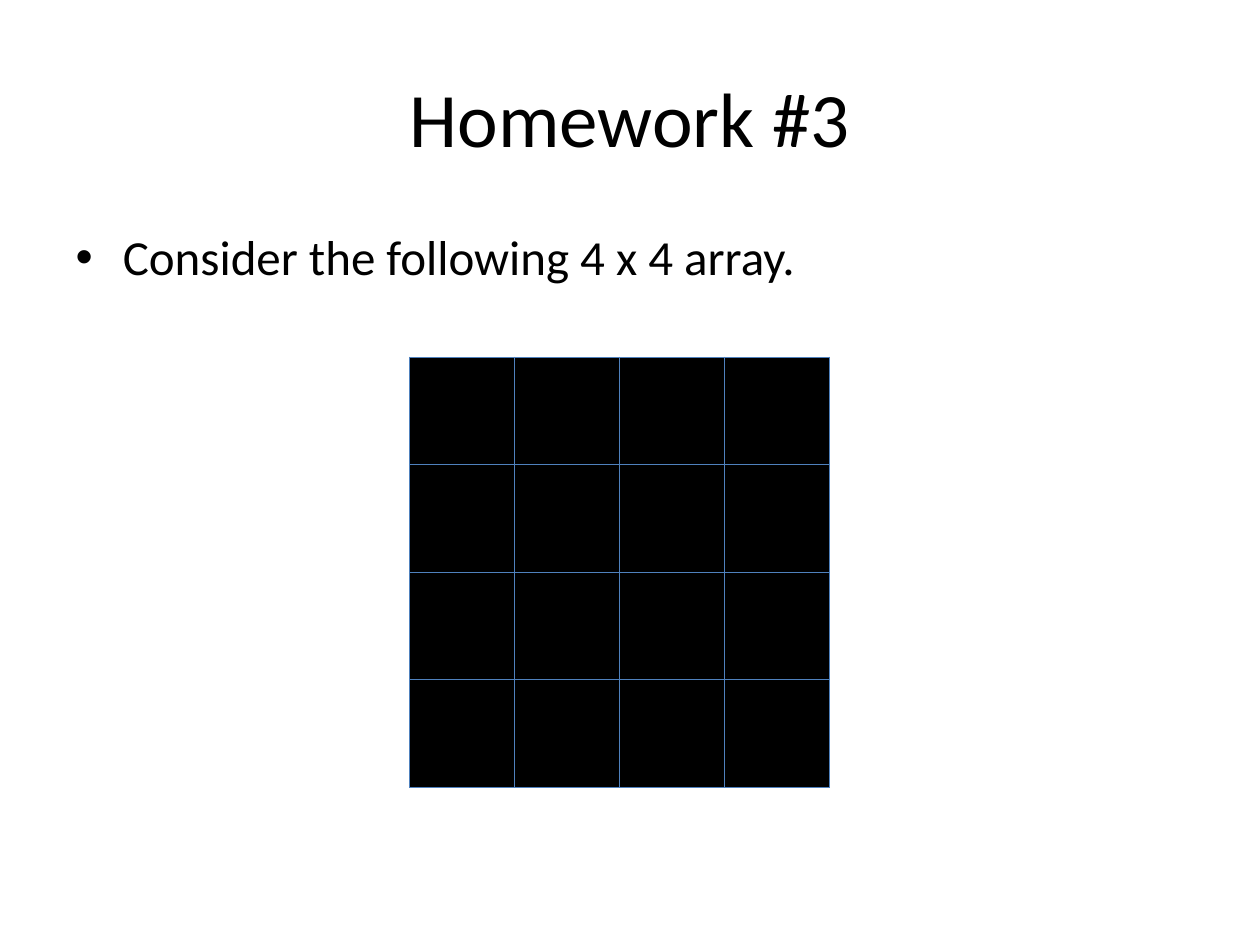
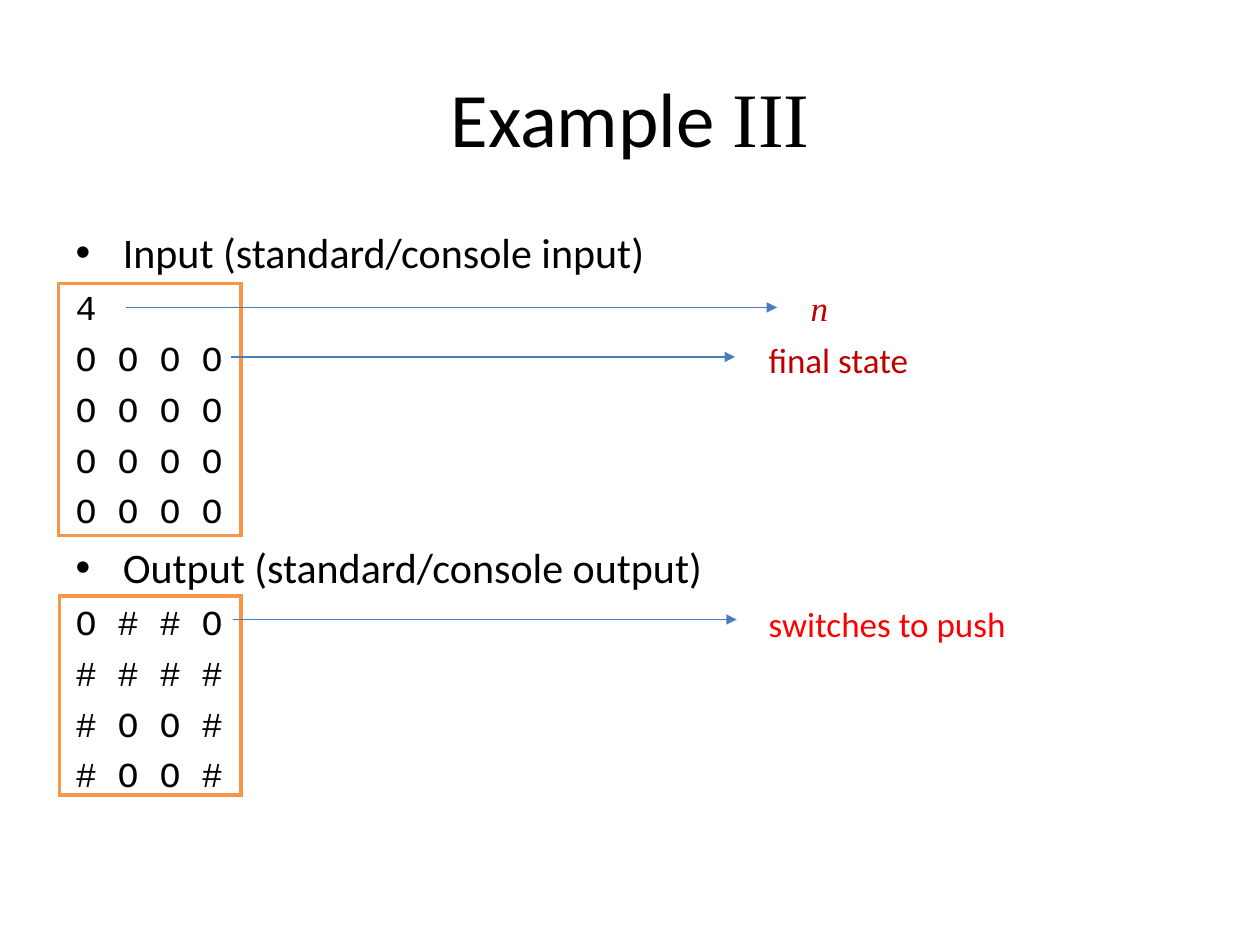
from lxml.etree import SubElement
from pptx import Presentation
from pptx.dml.color import RGBColor
from pptx.enum.shapes import MSO_CONNECTOR, MSO_SHAPE
from pptx.enum.text import MSO_ANCHOR, MSO_AUTO_SIZE, PP_ALIGN
from pptx.oxml.ns import qn
from pptx.util import Pt

COLORS = {
    "text": "000000", "cell": "000000", "grid": "4F81BD", "arrow": "4A7EBB",
    "frame": "F79646", "input_note": "C00000", "output_note": "FF0000",
}
SANS, MONO, SERIF = "Calibri", "Courier New", "Times New Roman"
TITLE_BOX = (36, 21.6, 648, 90)
BODY_BOX = (36, 126, 648, 356.4)
NOTE_WIDTH, NOTE_HEIGHT = 180, 28


def color(name):
    return RGBColor.from_string(COLORS[name])


def place(shape, box):
    shape.left, shape.top, shape.width, shape.height = map(Pt, box)


def style(run, size, font=SANS, tint="text", italic=False):
    run.font.size, run.font.name = Pt(size), font
    run.font.italic = italic
    run.font.color.rgb = color(tint)


def add_titled_slide(deck, title_runs):
    """Add a slide with a centred title and return it with its body frame."""
    slide = deck.slides.add_slide(deck.slide_layouts[1])
    title, body = slide.shapes.title, slide.placeholders[1]
    place(title, TITLE_BOX)
    place(body, BODY_BOX)
    title.text_frame.vertical_anchor = MSO_ANCHOR.MIDDLE
    heading = title.text_frame.paragraphs[0]
    heading.alignment = PP_ALIGN.CENTER
    for words, font in title_runs:
        run = heading.add_run()
        run.text = words
        style(run, 44, font)
    for frame in (title.text_frame, body.text_frame):
        frame.auto_size = MSO_AUTO_SIZE.NONE
    return slide, body.text_frame


def format_bullet(paragraph, words, size, space_before):
    paragraph.text = words
    paragraph.space_before = Pt(space_before)
    style(paragraph.runs[0], size)


def add_code_lines(frame, lines):
    """Add monospaced lines without bullets."""
    for code in lines:
        line = frame.add_paragraph()
        line.text = code
        line.space_before = Pt(5)
        properties = line._p.get_or_add_pPr()
        properties.set("marL", "0")
        properties.set("indent", "0")
        SubElement(properties, qn("a:buNone"))
        style(line.runs[0], 20, MONO)


def add_light_grid(slide, box, count):
    """Square table of dark cells with thin borders."""
    left, top, width, height = box
    table = slide.shapes.add_table(count, count, *map(Pt, box)).table
    table.first_row = table.horz_banding = False
    for column in table.columns:
        column.width = Pt(width / count)
    for row in table.rows:
        row.height = Pt(height / count)
    for cell in table.iter_cells():
        properties = cell._tc.get_or_add_tcPr()
        for side in ("lnL", "lnR", "lnT", "lnB"):
            border = SubElement(properties, qn(f"a:{side}"), w=str(Pt(0.45)))
            fill = SubElement(border, qn("a:solidFill"))
            SubElement(fill, qn("a:srgbClr"), val=COLORS["grid"])
        cell.fill.solid()
        cell.fill.fore_color.rgb = color("cell")


def add_frame(slide, box):
    frame = slide.shapes.add_shape(MSO_SHAPE.RECTANGLE, *map(Pt, box))
    frame.shadow.inherit = False
    frame.fill.background()
    frame.line.color.rgb = color("frame")
    frame.line.width = Pt(2)
    SubElement(frame.line._get_or_add_ln(), qn("a:miter"), lim="800000")


def add_arrow(slide, left, y, right):
    arrow = slide.shapes.add_connector(
        MSO_CONNECTOR.STRAIGHT, Pt(left), Pt(y), Pt(right), Pt(y))
    arrow.line.color.rgb = color("arrow")
    arrow.line.width = Pt(0.75)
    SubElement(arrow.line._get_or_add_ln(), qn("a:tailEnd"), type="triangle")
    SubElement(arrow._element.spPr, qn("a:effectLst"))


def add_note(slide, left, middle, words, font, tint):
    """Label whose text starts at left, centred on the height middle."""
    box = (left, middle - NOTE_HEIGHT / 2, NOTE_WIDTH, NOTE_HEIGHT)
    note = slide.shapes.add_textbox(*map(Pt, box)).text_frame
    note.word_wrap = True
    note.vertical_anchor = MSO_ANCHOR.MIDDLE
    note.margin_left = note.margin_right = note.margin_top = note.margin_bottom = 0
    note.text = words
    style(note.paragraphs[0].runs[0], 20, font, tint, italic=font == SERIF)


def build_homework(deck):
    slide, body = add_titled_slide(deck, [("Homework #3", SANS)])
    format_bullet(body.paragraphs[0], "Consider the following 4 x 4 array.", 28, 7)
    add_light_grid(slide, (234, 204, 240, 246), 4)


def build_example(deck):
    slide, body = add_titled_slide(deck, [("Example ", SANS), ("III", SERIF)])

    # Input: array size and final state; output: switches
    format_bullet(body.paragraphs[0], "Input (standard/console input)", 24, 6)
    add_code_lines(body, ["4"] + ["O O O O"] * 4)
    format_bullet(body.add_paragraph(), "Output (standard/console output)", 24, 6)
    add_code_lines(body, ["O # # O", "# # # #", "# O O #", "# O O #"])

    # Frames around the console text
    for box in ((33.3, 162, 104.5, 144), (34, 340.5, 103.8, 113.8)):
        add_frame(slide, box)

    # Arrows from the console text to the notes
    for left, y, right in ((72, 175.7, 444), (132, 204, 420), (133, 354, 421)):
        add_arrow(slide, left, y, right)
    add_note(slide, 463.2, 176, "n", SERIF, "input_note")
    add_note(slide, 439.2, 205.5, "final state", SANS, "input_note")
    add_note(slide, 439.2, 356.5, "switches to push", SANS, "output_note")


def main():
    deck = Presentation()
    deck.slide_width, deck.slide_height = Pt(720), Pt(540)
    build_homework(deck)
    build_example(deck)
    deck.save("out.pptx")


if __name__ == "__main__":
    main()
